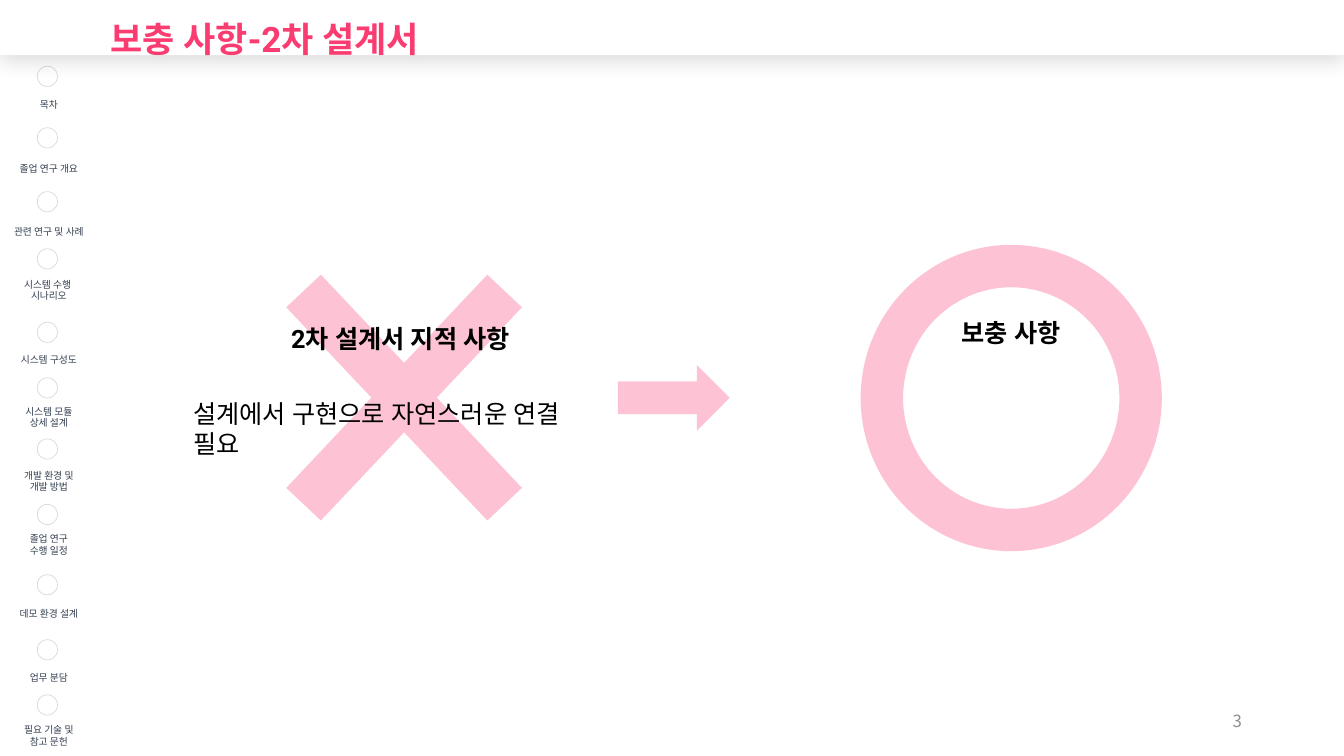
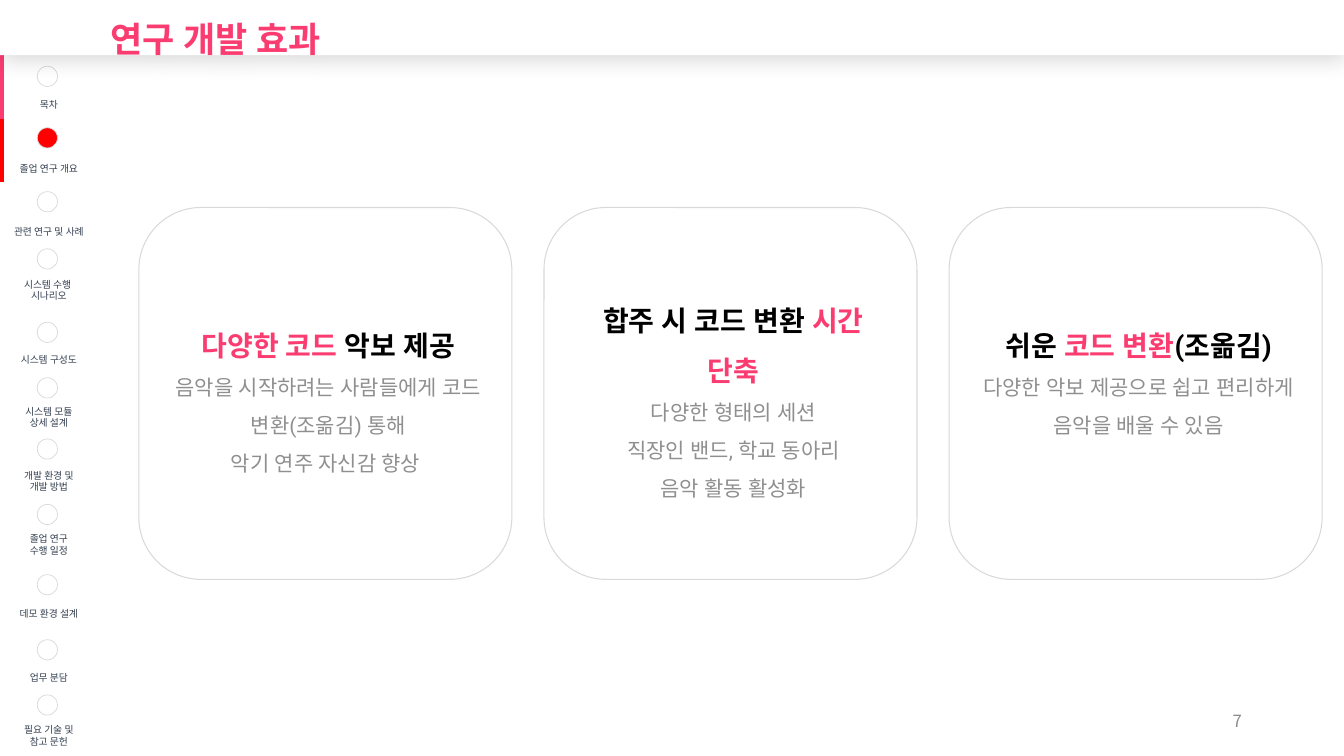
from lxml.etree import SubElement
from pptx import Presentation
from pptx.dml.color import RGBColor
from pptx.enum.shapes import MSO_SHAPE as SHAPE
from pptx.enum.text import MSO_ANCHOR as ANCHOR, MSO_AUTO_SIZE as AUTO, PP_ALIGN as ALIGN
from pptx.oxml.ns import qn
from pptx.util import Cm, Pt

WHITE = RGBColor(0xFF, 0xFF, 0xFF)
BLACK = RGBColor(0, 0, 0)
PINK = RGBColor(0xFA, 0x3C, 0x71)
SHAPE_PINK = RGBColor(0xFB, 0x3B, 0x71)
RED = RGBColor(0xFF, 0, 0)
OUTLINE = RGBColor(0xD9, 0xD9, 0xD9)
NAVY = RGBColor(0x33, 0x3F, 0x50)
GREY = RGBColor(0x90, 0x8F, 0x8F)
NUMBER_GREY = RGBColor(0x8C, 0x8C, 0x8C)

MAIN_FONT, NUMBER_FONT = "Roboto", "Noto Sans CJK KR"
NO_GRID = "{2D5ABB26-0587-4C30-8999-92F81FD0307C}"

TITLE = {"size": Pt(25), "bold": True, "name": MAIN_FONT}
MENU = {"size": Pt(7), "bold": False, "name": MAIN_FONT}
NUMBER = {"size": Pt(12), "bold": False, "name": NUMBER_FONT}
NOTE_HEAD = {"size": Pt(18), "bold": True, "name": MAIN_FONT}
NOTE_BODY = {**NOTE_HEAD, "bold": False}
CARD_HEAD = {"size": Pt(20), "bold": True, "name": MAIN_FONT}
CARD_BODY = {"size": Pt(15), "bold": False, "name": MAIN_FONT}

# Menu entries: label lines and top of the bullet circle in cm
MENU_ITEMS = [
    ("목차", 1.67), ("졸업 연구 개요", 3.22), ("관련 연구 및 사례", 4.83),
    ("시스템 수행 \n시나리오", 6.27), ("시스템 구성도", 8.12),
    ("시스템 모듈\n상세 설계", 9.52), ("개발 환경 및\n개발 방법", 11.06),
    ("졸업 연구\n수행 일정", 12.71), ("데모 환경 설계", 14.48),
    ("업무 분담", 16.12), ("필요 기술 및\n참고 문헌", 17.51),
]

# Cards: heading runs, body paragraphs, extra bottom margin in cm
CARDS = [
    ([("다양한 코드 ", PINK), ("악보 제공", BLACK)],
     ["음악을 시작하려는 사람들에게 코드 변환(조옮김) 통해", "악기 연주 자신감 향상 "], 0),
    ([("합주 시 코드 변환 ", BLACK), ("시간 단축", PINK)],
     ["다양한 형태의 세션", "직장인 밴드, 학교 동아리", "음악 활동 활성화"], 0),
    ([("쉬운 ", BLACK), ("코드 변환", PINK), ("(조옮김)", BLACK)],
     ["다양한 악보 제공으로 쉽고 편리하게 음악을 배울 수 있음"], 0.96),
]


def box_cm(box):
    return [Cm(v) for v in box]


def write(p, runs, fmt, align=ALIGN.LEFT, spacing=None):
    """Fill a paragraph with (text, colour) runs."""
    p.alignment = align
    p.line_spacing = spacing
    for text, colour in runs:
        r = p.add_run()
        r.text = text
        for key, value in fmt.items():
            setattr(r.font, key, value)
        r.font.color.rgb = colour
        SubElement(r._r.get_or_add_rPr(), qn("a:ea"), typeface=fmt["name"])


def set_margins(target, left, top, right, bottom):
    margins = {"margin_left": left, "margin_top": top,
               "margin_right": right, "margin_bottom": bottom}
    for key, value in margins.items():
        setattr(target, key, Cm(value))


def add_shape(slide, kind, box, fill, line=None, width=0.5, alpha=None):
    sp = slide.shapes.add_shape(kind, *box_cm(box))
    sp.shadow.inherit = False
    sp.fill.solid()
    sp.fill.fore_color.rgb = fill
    if alpha:
        colour = sp.fill._xPr.find(qn("a:solidFill"))[0]
        SubElement(colour, qn("a:alpha"), val=str(alpha * 1000))
    if line is None:
        sp.line.fill.background()
    else:
        sp.line.color.rgb = line
        sp.line.width = Pt(width)
    return sp


def add_plain_table(slide, box, widths, heights):
    frame = slide.shapes.add_table(len(heights), len(widths), *box_cm(box))
    table = frame.table
    table.first_row = table.horz_banding = False
    table._tbl.tblPr.find(qn("a:tableStyleId")).text = NO_GRID
    for parts, sizes, key in ((table.columns, widths, "width"), (table.rows, heights, "height")):
        for part, size in zip(parts, sizes):
            setattr(part, key, Cm(size))
    return table


# Parts that every slide has
def add_menu(slide, box, marks, active):
    left, top, width, height = box
    bar, dot, n = 0.13, 0.51, len(MENU_ITEMS)
    table = add_plain_table(slide, box, [bar, width - bar], [height / n] * n)
    for i, (label, dot_top) in enumerate(MENU_ITEMS):
        mark, cell = table.cell(i, 0), table.cell(i, 1)
        for c, colour, bottom in ((mark, marks.get(i, WHITE), 0), (cell, WHITE, 0.2)):
            c.fill.solid()
            c.fill.fore_color.rgb = colour
            set_margins(c, 0, 0, 0, bottom)
        cell.vertical_anchor = ANCHOR.BOTTOM
        cell.text = label
        for p in cell.text_frame.paragraphs:
            text = p.text
            p.clear()
            write(p, [(text, NAVY)], MENU, ALIGN.CENTER)
        add_shape(slide, SHAPE.OVAL, (left + 0.97, dot_top, dot, dot),
                  RED if i == active else WHITE, OUTLINE)


def add_title_band(slide, box, text):
    sp = slide.shapes.title
    sp.left, sp.top, sp.width, sp.height = box_cm(box)
    sp.fill.solid()
    sp.fill.fore_color.rgb = WHITE
    sp.line.fill.background()
    effects = SubElement(sp._element.spPr, qn("a:effectLst"))
    shadow = SubElement(effects, qn("a:outerShdw"), blurRad=str(Pt(15)), dist=str(Pt(3)),
                        dir="5400000", algn="t", rotWithShape="0")
    colour = SubElement(shadow, qn("a:srgbClr"), val=str(BLACK))
    SubElement(colour, qn("a:alpha"), val="15000")
    tf = sp.text_frame
    tf.auto_size = AUTO.NONE
    tf.vertical_anchor = ANCHOR.MIDDLE
    set_margins(tf, 2.79, 0.13, 0.25, 0.13)
    write(tf.paragraphs[0], [(text, PINK)], TITLE, spacing=1.5)
    slide.shapes.element.append(sp._element)  # the band's shadow falls on the menu


def add_number(slide, box, number):
    tf = slide.shapes.add_textbox(*box_cm(box)).text_frame
    tf.word_wrap = True
    tf.vertical_anchor = ANCHOR.MIDDLE
    write(tf.paragraphs[0], [(str(number), NUMBER_GREY)], NUMBER, ALIGN.RIGHT)


def add_base_slide(prs, title, number, marks, active=None):
    slide = prs.slides.add_slide(prs.slide_layouts[5])
    add_number(slide, (23.93, 17.65, 7.62, 1.02), number)
    add_menu(slide, (-0.03, 1.39, 2.39, 17.65), marks, active)
    add_title_band(slide, (0, 0, 33.87, 1.39), title)
    return slide


# Slide bodies
def add_note(slide, box, head, body=None):
    head_height = 1.17
    table = add_plain_table(slide, box, [box[2]], [head_height, box[3] - head_height])
    write(table.cell(0, 0).text_frame.paragraphs[0], [(head, BLACK)], NOTE_HEAD, ALIGN.CENTER)
    if body:
        cell = table.cell(1, 0)
        cell.margin_top = Cm(0.85)
        write(cell.text_frame.paragraphs[0], [(body, BLACK)], NOTE_BODY)


def add_comparison(slide, box):
    left, top, _, _ = box
    symbols = [
        (SHAPE.RIGHT_ARROW, (10.95, 4.35, 2.82, 1.65), None),
        (SHAPE.MATH_MULTIPLY, (0.69, 0, 9.75, 10.34), 0.123),
        (SHAPE.DONUT, (17.07, 1.32, 7.59, 7.72), 0.141),
    ]
    for kind, (x, y, w, h), adjust in symbols:
        sp = add_shape(slide, kind, (left + x, top + y, w, h), SHAPE_PINK, alpha=30)
        if adjust:
            sp.adjustments[0] = adjust
    add_note(slide, (left, top + 3.22, 10.95, 4.32),
             "2차 설계서 지적 사항", "설계에서 구현으로 자연스러운 연결 필요")
    add_note(slide, (left + 14.4, top + 3.07, 12.93, 4.65), "보충 사항")


def add_card(slide, box, head, body, extra):
    sp = add_shape(slide, SHAPE.ROUNDED_RECTANGLE, box, WHITE, OUTLINE, 0.75)
    tf = sp.text_frame
    tf.word_wrap = True
    tf.vertical_anchor = ANCHOR.MIDDLE
    set_margins(tf, 0.4, 0.13, 0.25, 0.13 + extra)
    write(tf.paragraphs[0], head, CARD_HEAD, ALIGN.CENTER, 1.5)
    for text in body:
        write(tf.add_paragraph(), [(text, GREY)], CARD_BODY, ALIGN.CENTER, 1.5)


def add_cards(slide, box, gap):
    left, top, width, height = box
    card_width = (width - gap * (len(CARDS) - 1)) / len(CARDS)
    for i, card in enumerate(CARDS):
        add_card(slide, (left + i * (card_width + gap), top, card_width, height), *card)


def main():
    prs = Presentation()
    prs.slide_width, prs.slide_height = Cm(33.87), Cm(19.05)

    slide = add_base_slide(prs, "보충 사항-2차 설계서", 3, {})
    add_comparison(slide, (4.62, 4.85, 27.33, 10.34))

    slide = add_base_slide(prs, "연구 개발 효과", 7, {0: PINK, 1: RED}, active=1)
    add_cards(slide, (3.5, 5.23, 29.82, 9.37), 0.81)

    prs.save("out.pptx")


if __name__ == "__main__":
    main()
